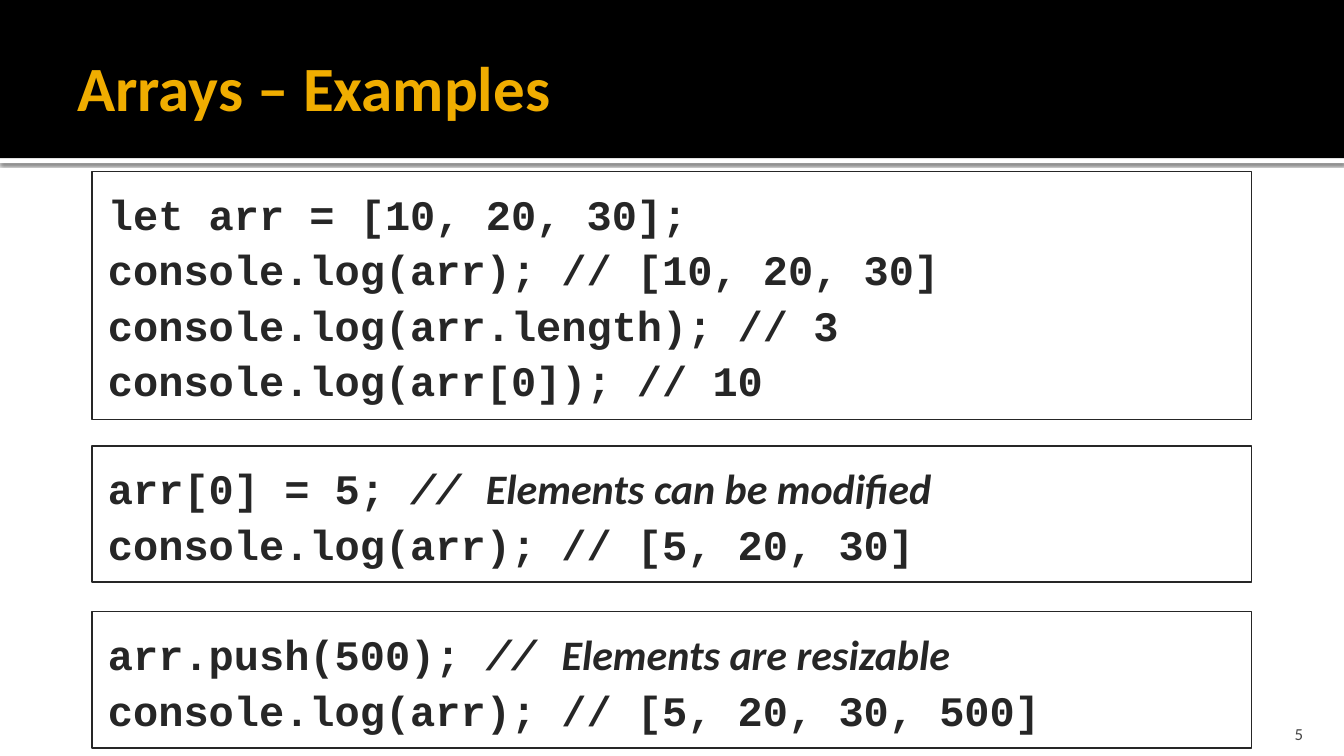
from lxml import etree
from pptx import Presentation
from pptx.dml.color import RGBColor
from pptx.enum import shapes, text
from pptx.util import Pt

BLACK = RGBColor(0, 0, 0)
WHITE = RGBColor(255, 255, 255)
GOLD = RGBColor(0xF0, 0xAD, 0x00)
INK = RGBColor(0x26, 0x26, 0x26)
GREY = RGBColor(0x45, 0x45, 0x45)
RECT = shapes.MSO_SHAPE.RECTANGLE
ANCHOR = text.MSO_ANCHOR
ALIGN = text.PP_ALIGN
CODE = "Courier New"
BODY = "Calibri"
NS = "http://schemas.openxmlformats.org/drawingml/2006/main"
SHADOW = f"""<a:effectLst xmlns:a="{NS}">
<a:outerShdw blurRad="31750" dist="10160" dir="5400000" algn="t" rotWithShape="0">
<a:srgbClr val="000000"><a:alpha val="60000"/></a:srgbClr>
</a:outerShdw></a:effectLst>"""


def set_frame(shape, insets, anchor):
    frame = shape.text_frame
    sides = ("left", "top", "right", "bottom")
    for side, inset in zip(sides, insets):
        setattr(frame, f"margin_{side}", Pt(inset))
    frame.word_wrap = True
    frame.vertical_anchor = anchor
    return frame


def add_run(para, words, color, **style):
    run = para.add_run()
    run.text = words
    run.font.color.rgb = color
    for key, value in style.items():
        setattr(run.font, key, value)


prs = Presentation()
prs.slide_width = Pt(960)
prs.slide_height = Pt(540)
slide = prs.slides.add_slide(prs.slide_layouts[5])

for top, height, color in [(113, 3.6, WHITE), (0, 113, BLACK)]:
    band = slide.shapes.add_shape(RECT, 0, Pt(top), Pt(960), Pt(height))
    band.shadow.inherit = False
    band.fill.solid()
    band.fill.fore_color.rgb = color
    band.line.fill.background()
    if color == WHITE:
        props = band.element.spPr
        props.remove(props.find(f"{{{NS}}}effectLst"))
        props.append(etree.fromstring(SHADOW))

title = slide.shapes.title
title.element.getparent().append(title.element)
place = {"left": 48, "top": 12.24, "width": 660, "height": 98.64}
for key, value in place.items():
    setattr(title, key, Pt(value))
frame = set_frame(title, (7.2, 3.6, 3.6, 3.6), ANCHOR.MIDDLE)
frame.auto_size = text.MSO_AUTO_SIZE.NONE
para = frame.paragraphs[0]
para.alignment = ALIGN.LEFT
add_run(para, "Arrays – Examples", GOLD, name=BODY, size=Pt(45), bold=True)

num = slide.shapes.add_textbox(Pt(861), Pt(509.8), Pt(77), Pt(21.6))
frame = set_frame(num, (7.2, 3.6, 7.2, 0), ANCHOR.BOTTOM)
para = frame.paragraphs[0]
para.alignment = ALIGN.RIGHT
add_run(para, "5", GREY, name=BODY, size=Pt(12))

# Each line holds its code, a slanted mark and a slanted remark
boxes = [
    (122.4, 177.1, [
        ("let arr = [10, 20, 30];", "", ""),
        ("console.log(arr); // [10, 20, 30]", "", ""),
        ("console.log(arr.length); // 3", "", ""),
        ("console.log(arr[0]); // 10", "", ""),
    ]),
    (318.5, 97.2, [
        ("arr[0] = 5; ", "// ", "Elements can be modified"),
        ("console.log(arr); // [5, 20, 30]", "", ""),
    ]),
    (437, 97.2, [
        ("arr.push(500);", " // ", "Elements are resizable"),
        ("console.log(arr); // [5, 20, 30, 500]", "", ""),
    ]),
]
fonts = [(CODE, False), (CODE, True), (BODY, True)]
for top, height, lines in boxes:
    box = slide.shapes.add_shape(RECT, Pt(65.8), Pt(top), Pt(828), Pt(height))
    box.shadow.inherit = False
    box.fill.background()
    box.line.color.rgb = INK
    box.line.width = Pt(1)
    frame = set_frame(box, (11.34, 8.5, 11.34, 8.5), ANCHOR.TOP)
    frame.auto_size = text.MSO_AUTO_SIZE.SHAPE_TO_FIT_TEXT
    for row, parts in enumerate(lines):
        para = frame.add_paragraph() if row else frame.paragraphs[0]
        para.alignment = ALIGN.LEFT
        para.line_spacing = 1.1
        for words, (name, slant) in zip(parts, fonts):
            if words:
                add_run(para, words, INK, name=name, size=Pt(30),
                        bold=True, italic=slant)

prs.save("out.pptx")
